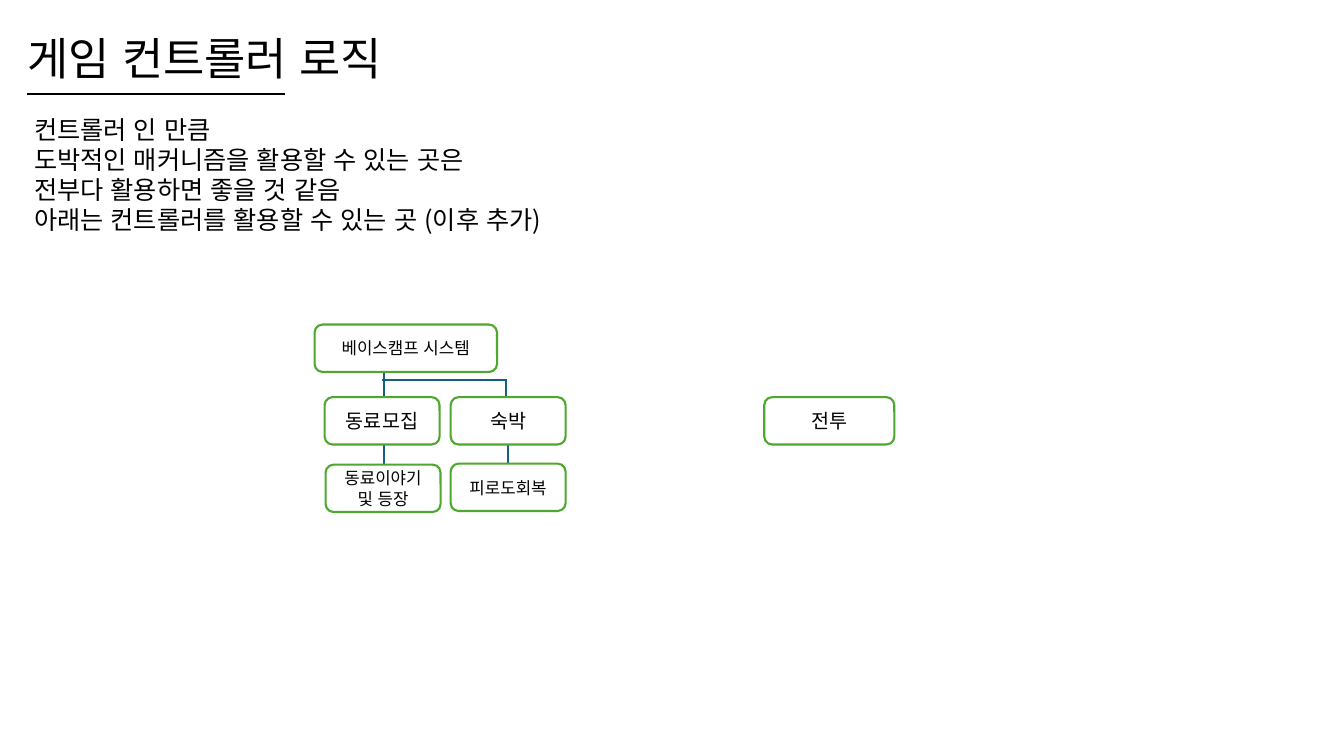
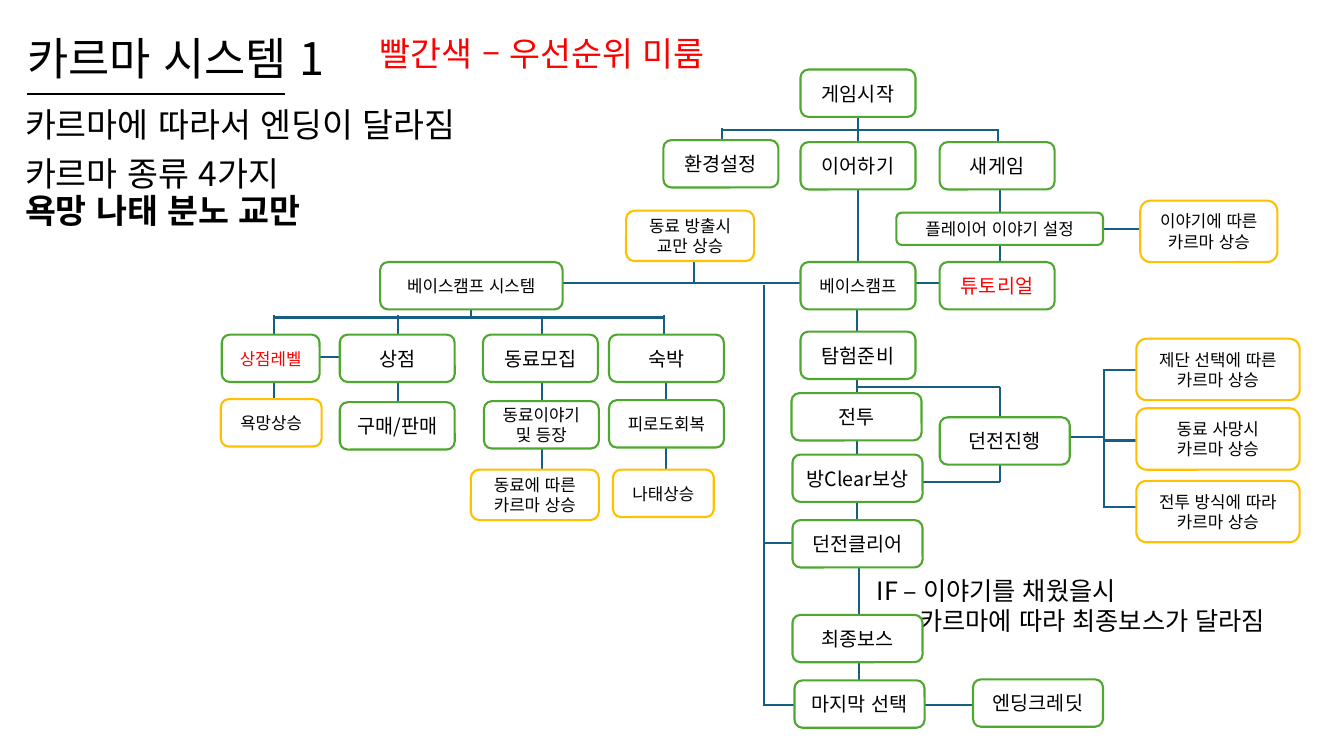
"""Build two slides on game controller logic and the karma system."""
from lxml import etree
from pptx import Presentation
from pptx.dml.color import RGBColor
from pptx.enum.lang import MSO_LANGUAGE_ID
from pptx.enum.shapes import MSO_CONNECTOR, MSO_SHAPE
from pptx.enum.text import MSO_ANCHOR, PP_ALIGN
from pptx.oxml.ns import qn
from pptx.util import Inches, Pt

ROUND = MSO_SHAPE.ROUNDED_RECTANGLE
STRAIGHT = MSO_CONNECTOR.STRAIGHT
MIDDLE, TOP = MSO_ANCHOR.MIDDLE, MSO_ANCHOR.TOP
LEFT, CENTER = PP_ALIGN.LEFT, PP_ALIGN.CENTER
KOREAN = MSO_LANGUAGE_ID.KOREAN
FONT = "Noto Sans CJK KR"
COLORS = {"ink": "000000", "paper": "FFFFFF", "red": "FF0000",
          "green": "4EA72E", "gold": "FFC000", "link": "156082"}
STROKE = 1.5

TITLE_AT = (0.17, 0.13, 11.5, 0.96)
RULE = (0.27, 0.93, 2.83)
HEAD = {"anchor": MIDDLE, "space": 0.9}
TITLE = {**HEAD, "size": 32}
LEAD = {**HEAD, "size": 24}
ALERT = {**LEAD, "color": "red"}
BODY = {"size": 18}

STEP = {"wide": 1.14, "high": 0.47, "size": 14, "edge": "green", "color": "ink"}
SMALL = {**STEP, "size": 12}
CAMP = {**SMALL, "wide": 1.81}
STAGE = {**STEP, "wide": 1.29}
KARMA = {**SMALL, "edge": "gold", "wide": 1.62, "high": 0.61}
GAIN = {**KARMA, "wide": 1, "high": 0.47}
EVENT = {**KARMA, "wide": 1.27, "high": 0.5}

SLIDES = [
    {
        "title": "게임 컨트롤러 로직",
        "texts": [
            ((0.24, 1.08, 6.67, 1.31), BODY, [
                ("컨트롤러 인 만큼", {}),
                ("도박적인 매커니즘을 활용할 수 있는 곳은", {}),
                ("전부다 활용하면 좋을 것 같음", {}),
                ("아래는 컨트롤러를 활용할 수 있는 곳 (이후 추가)", {})]),
        ],
        "down": [(3.81, 4.35, 4.66), (5.04, 4.35, 4.66),
                 (5.02, 3.76, 4.07), (3.81, 3.69, 4.08)],
        "across": [(3.79, 3.77, 5.02)],
        "boxes": [
            (CAMP, [("베이스캠프 시스템", 3.12, 3.22)]),
            (STEP, [("동료모집", 3.22, 3.94), ("숙박", 4.47, 3.94)]),
            (SMALL, [("동료이야기 및 등장", 3.23, 4.61),
                     ("피로도회복", 4.47, 4.6)]),
            (STAGE, [("전투", 7.58, 3.94)]),
        ],
    },
    {
        "title": "카르마 시스템 1",
        "texts": [
            ((3.67, 0.15, 4.32, 0.8), ALERT, [("빨간색 – 우선순위 미룸", {})]),
            ((0.15, 0.7, 4.92, 1.11), LEAD,
             [("카르마에 따라서 엔딩이 달라짐", {})]),
            ((0.15, 1.37, 4.32, 1.11), LEAD, [
                ("카르마 종류 4가지", {}),
                ("욕망 나태 분노 교만", {"bold": True})]),
            ((8.6, 5.66, 4.64, 0.71), BODY, [
                ("IF – 이야기를 채웠을시", {}),
                ("카르마에 따라 최종보스가 달라짐", {"indent": 0.42})]),
        ],
        "down": [
            (6.88, 2.48, 2.82), (2.72, 3.13, 4.14), (9.92, 3.84, 4.78),
            (8.52, 5.63, 6.17), (8.52, 6.49, 6.75), (9.92, 1.75, 2.7),
            (5.38, 3.15, 4.89), (6.59, 3.13, 3.44), (6.61, 3.72, 4.78),
            (3.95, 3.13, 4.07), (8.5, 3.06, 5.16), (8.51, 1.14, 2.7),
            (7.16, 1.27, 1.39), (9.9, 1.28, 1.41), (7.58, 2.83, 6.99),
            (10.95, 3.67, 5.03), (4.67, 3.05, 3.15)],
        "across": [
            (10.77, 2.27, 11.63), (9.15, 6.99, 9.65), (7.57, 6.99, 8.07),
            (7.57, 5.39, 8.07), (3.04, 3.54, 3.42), (9.08, 2.81, 9.57),
            (4.62, 2.81, 8.07), (2.72, 3.15, 6.59), (7.15, 1.29, 9.89),
            (9.14, 4.78, 9.92), (8.5, 3.84, 9.92), (10.62, 4.34, 10.94),
            (10.94, 3.67, 11.27), (10.95, 4.37, 11.28), (10.94, 5.03, 11.27)],
        "boxes": [
            (CAMP, [("베이스캠프 시스템", 3.77, 2.6)]),
            (STEP, [("게임시작", 7.94, 0.69), ("환경설정", 6.58, 1.39),
                    ("이어하기", 7.94, 1.41), ("새게임", 9.32, 1.41),
                    ("탐험준비", 7.94, 3.29), ("상점", 3.37, 3.32),
                    ("동료모집", 4.79, 3.32), ("숙박", 6.04, 3.32),
                    ("구매/판매", 3.37, 3.99)]),
            ({**STEP, "color": "red"}, [("튜토리얼", 9.32, 2.6)]),
            ({**SMALL, "wide": 0.97, "color": "red"}, [("상점레벨", 2.2, 3.32)]),
            ({**SMALL, "wide": 2.05, "high": 0.32},
             [("플레이어 이야기 설정", 8.89, 2.11)]),
            (SMALL, [("베이스캠프", 7.94, 2.6),
                     ("동료이야기 및 등장", 4.8, 3.98),
                     ("피로도회복", 6.04, 3.97)]),
            (STAGE, [("전투", 7.85, 3.9), ("방Clear보상", 7.86, 4.51),
                     ("던전진행", 9.32, 4.14), ("던전클리어", 7.86, 5.16),
                     ("최종보스", 7.86, 6.1), ("마지막 선택", 7.88, 6.75),
                     ("엔딩크레딧", 9.65, 6.74)]),
            (GAIN, [("욕망상승", 2.19, 3.96), ("나태상승", 6.08, 4.66)]),
            (EVENT, [("동료에 따른 카르마 상승", 4.67, 4.66),
                     ("동료 방출시 교만 상승", 6.21, 2.09)]),
            ({**KARMA, "wide": 1.36}, [("이야기에 따른\n카르마 상승", 11.31, 1.99)]),
            (KARMA, [("제단 선택에 따른 카르마 상승", 11.27, 3.36),
                     ("동료 사망시\n카르마 상승", 11.27, 4.05),
                     ("전투 방식에 따라 카르마 상승", 11.27, 4.77)]),
        ],
    },
]


def rgb(name):
    return RGBColor.from_string(COLORS[name])


def write(frame, paras, style, align=LEFT):
    frame.word_wrap = True
    frame.vertical_anchor = style.get("anchor", TOP)
    frame.text = "\n".join(text for text, _ in paras)
    for para, (_, extra) in zip(frame.paragraphs, paras):
        para.alignment = align
        if "space" in style:
            para.line_spacing = style["space"]
        if "indent" in extra:
            para._p.get_or_add_pPr().set("marL", str(Inches(extra["indent"])))
        looks = {"name": FONT, "size": Pt(style["size"]),
                 "bold": extra.get("bold", False), "language_id": KOREAN}
        for run in para.runs:
            for key, value in looks.items():
                setattr(run.font, key, value)
            run.font.color.rgb = rgb(style.get("color", "ink"))
            east = etree.SubElement(run._r.get_or_add_rPr(), qn("a:ea"))
            east.set("typeface", FONT)


def add_text(slide, place, style, paras):
    box = slide.shapes.add_textbox(*map(Inches, place))
    write(box.text_frame, paras, style)


def add_line(slide, ends, color="link"):
    line = slide.shapes.add_connector(STRAIGHT, *map(Inches, ends))
    line.line.color.rgb = rgb(color)
    line.line.width = Pt(STROKE)
    etree.SubElement(line._element.spPr, qn("a:effectLst"))


def add_box(slide, text, left, top, style):
    place = (left, top, style["wide"], style["high"])
    box = slide.shapes.add_shape(ROUND, *map(Inches, place))
    box.shadow.inherit = False
    box.fill.solid()
    box.fill.fore_color.rgb = rgb("paper")
    box.line.color.rgb = rgb(style["edge"])
    box.line.width = Pt(STROKE)
    paras = [(part, {}) for part in text.split("\n")]
    write(box.text_frame, paras, {**style, "anchor": MIDDLE}, CENTER)


def build(slide, data):
    add_text(slide, TITLE_AT, TITLE, [(data["title"], {})])
    left, level, right = RULE
    add_line(slide, (left, level, right, level), "ink")
    for place, style, paras in data["texts"]:
        add_text(slide, place, style, paras)
    for x, top, end in data["down"]:
        add_line(slide, (x, top, x, end))
    for start, y, end in data["across"]:
        add_line(slide, (start, y, end, y))
    for style, boxes in data["boxes"]:
        for text, x, y in boxes:
            add_box(slide, text, x, y, style)


def main():
    deck = Presentation()
    deck.slide_width, deck.slide_height = Inches(13.33), Inches(7.5)
    for data in SLIDES:
        build(deck.slides.add_slide(deck.slide_layouts[6]), data)
    deck.save("out.pptx")


if __name__ == "__main__":
    main()
